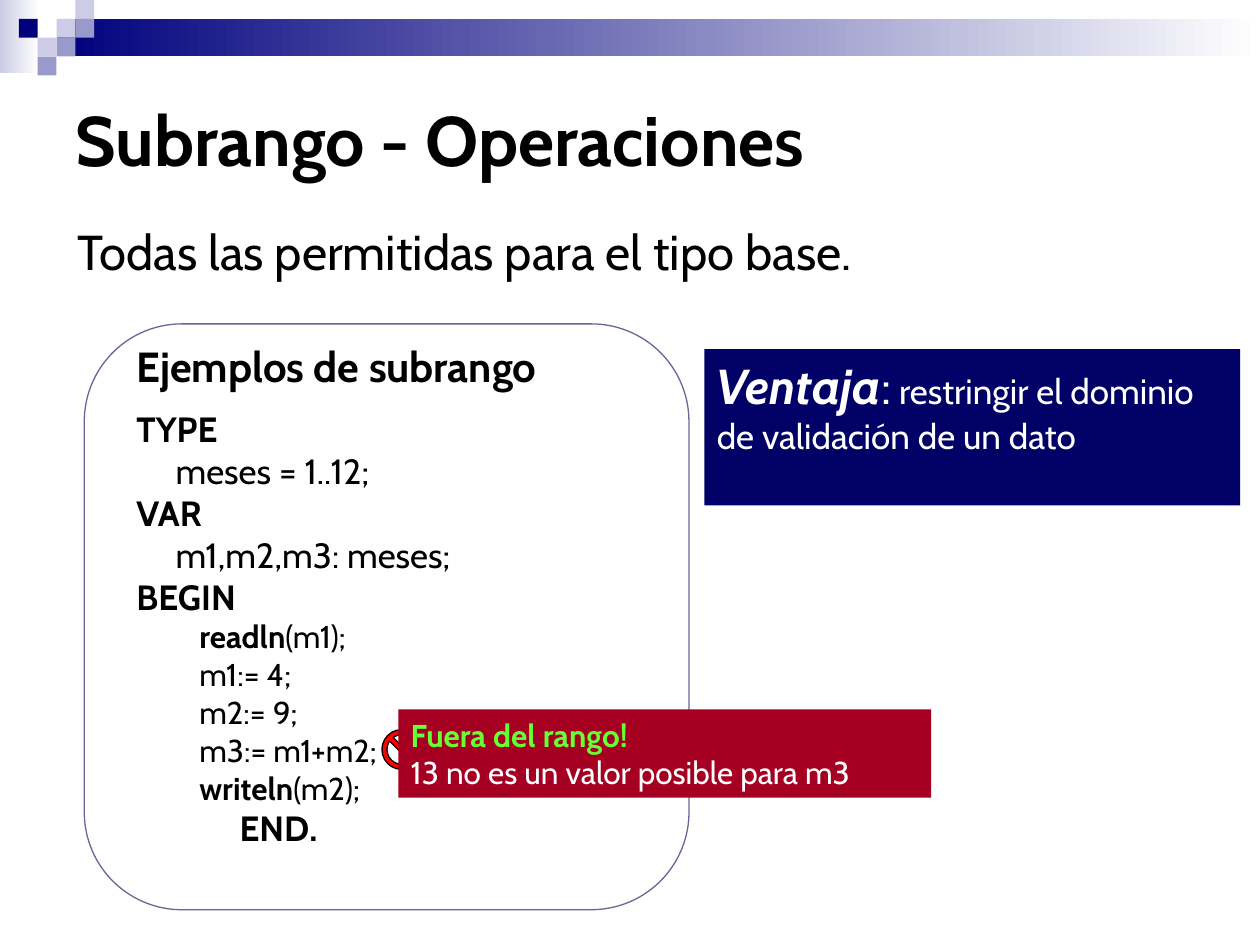
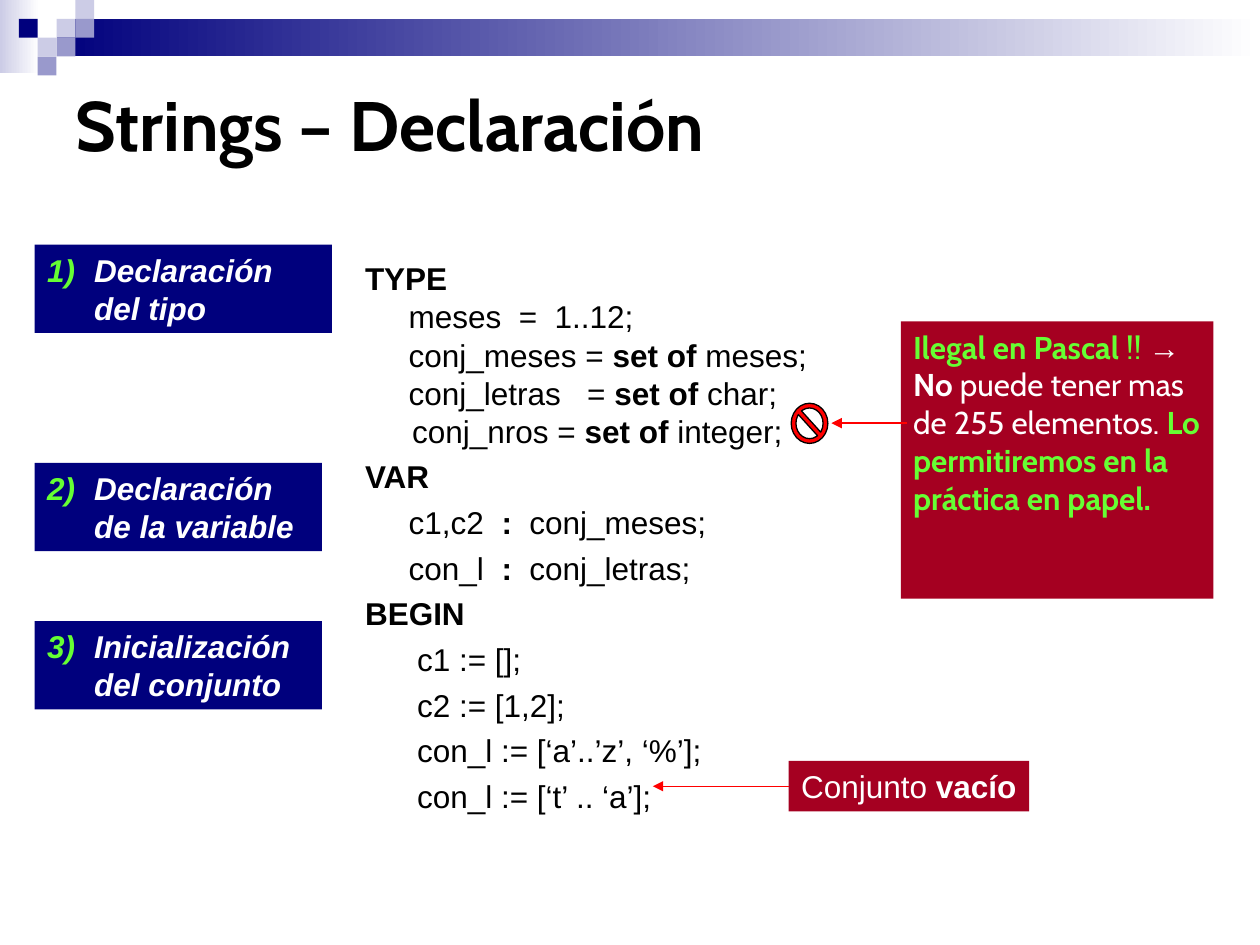
from dataclasses import dataclass

import pptx
import pptx.dml.color
import pptx.enum.dml
import pptx.enum.shapes
import pptx.enum.text
import pptx.oxml
import pptx.oxml.ns
import pptx.util

Cm = pptx.util.Cm
Pt = pptx.util.Pt
SHAPE = pptx.enum.shapes.MSO_SHAPE
TITLE_ONLY = 5


@dataclass(frozen=True)
class Theme:
    black: str = "000000"
    white: str = "FFFFFF"
    navy: str = "00007D"
    deep_navy: str = "000066"
    lavender: str = "9999CC"
    pale: str = "CCCCE6"
    outline: str = "666699"
    crimson: str = "A50021"
    lime: str = "66FF33"
    red: str = "FF0000"
    display_font: str = "Cabin"
    plain_font: str = "Arial"
    title_size: float = 40
    lead_size: float = 28
    heading_size: float = 24
    code_size: float = 20
    text_size: float = 18
    hairline: float = 0.75


THEME = Theme()


@dataclass(frozen=True)
class Area:
    """Left, top, width and height in centimetres."""
    left: float
    top: float
    width: float
    height: float

    def lengths(self) -> tuple:
        return tuple(Cm(v) for v in (self.left, self.top, self.width, self.height))


@dataclass(frozen=True)
class Span:
    text: str
    bold: bool = False
    italic: bool = False
    size: float = THEME.text_size
    color: str = THEME.black
    font: str = THEME.display_font


@dataclass(frozen=True)
class Line:
    """One paragraph; indents are in centimetres, space before in points."""
    spans: tuple
    indent: float = 0
    hanging: float = 0
    before: float = 0
    spacing: float = 1.0
    number: int = 0


@dataclass(frozen=True)
class Step:
    number: int
    text: str
    area: Area


def rgb(color: str):
    return pptx.dml.color.RGBColor.from_string(color)


def add_child(parent, tag: str, **attributes):
    child = pptx.oxml.parse_xml(f"<a:{tag} {pptx.oxml.ns.nsdecls('a')}/>")
    for name, value in attributes.items():
        child.set(name, str(value))
    parent.append(child)
    return child


def write(frame, lines, wrap: bool = True, anchor=pptx.enum.text.MSO_ANCHOR.TOP) -> None:
    frame.auto_size = pptx.enum.text.MSO_AUTO_SIZE.NONE
    frame.word_wrap = wrap
    frame.vertical_anchor = anchor
    for index, line in enumerate(lines):
        para = frame.add_paragraph() if index else frame.paragraphs[0]
        para.alignment = pptx.enum.text.PP_ALIGN.LEFT
        para.space_before = Pt(line.before)
        para.line_spacing = line.spacing
        properties = para._p.get_or_add_pPr()
        properties.set("marL", str(Cm(line.indent)))
        properties.set("indent", str(-Cm(line.hanging)))
        if line.number:
            add_child(add_child(properties, "buClr"), "srgbClr", val=THEME.lime)
            add_child(properties, "buAutoNum", type="arabicParenR", startAt=line.number)
        for span in line.spans:
            run = para.add_run()
            run.text = span.text
            run.font.name = span.font
            run.font.size = Pt(span.size)
            run.font.bold = span.bold
            run.font.italic = span.italic
            run.font.color.rgb = rgb(span.color)


def add_shape(page, kind, area: Area, fill: str = "", outline: str = "", fade: bool = False):
    shape = page.shapes.add_shape(kind, *area.lengths())
    shape.shadow.inherit = False
    if fade:
        shape.fill.gradient()
        shape.fill.gradient_angle = 0
        for stop, color in zip(shape.fill.gradient_stops, (fill, THEME.white)):
            stop.color.rgb = rgb(color)
    elif fill:
        shape.fill.solid()
        shape.fill.fore_color.rgb = rgb(fill)
    else:
        shape.fill.background()
    if outline:
        shape.line.color.rgb = rgb(outline)
        shape.line.width = Pt(THEME.hairline)
    else:
        shape.line.fill.background()
    return shape


def add_panel(page, area: Area, fill: str, lines, wrap: bool = True):
    panel = add_shape(page, SHAPE.RECTANGLE, area, fill)
    write(panel.text_frame, lines, wrap)
    return panel


def add_text(page, area: Area, lines) -> None:
    write(page.shapes.add_textbox(*area.lengths()).text_frame, lines)


def add_forbidden_sign(page, area: Area) -> None:
    sign = add_shape(page, SHAPE.NO_SYMBOL, area, THEME.red, THEME.black)
    sign.adjustments[0] = 0.13


def add_arrow(page, start: float, end: float, height: float, source=None) -> None:
    """Horizontal arrow, joined to the left side of source if there is one."""
    arrow = page.shapes.add_connector(
        pptx.enum.shapes.MSO_CONNECTOR.STRAIGHT, Cm(start), Cm(height), Cm(end), Cm(height))
    if source is not None:
        arrow.begin_connect(source, 1)
    arrow.line.color.rgb = rgb(THEME.red)
    arrow.line.width = Pt(THEME.hairline)
    properties = arrow.element.spPr
    add_child(properties.find(pptx.oxml.ns.qn("a:ln")), "tailEnd", type="triangle")
    add_child(properties, "effectLst")


def add_banner(page, layout) -> None:
    """Draw the top band and its mosaic, then hand them to the layout."""
    tile = 0.38
    mosaic = ((3, 1, THEME.pale), (4, 0, THEME.pale), (4, 1, THEME.lavender),
              (2, 2, THEME.pale), (1, 1, THEME.navy), (3, 2, THEME.lavender),
              (2, 3, THEME.lavender))
    parts = [add_shape(page, SHAPE.RECTANGLE, Area(0, 0, 0.79, 1.47), THEME.pale, fade=True),
             add_shape(page, SHAPE.RECTANGLE, Area(3 * tile, tile, 24.26, 2 * tile),
                       THEME.navy, fade=True)]
    for column, row, color in mosaic:
        area = Area(column * tile, row * tile, tile, tile)
        parts.append(add_shape(page, SHAPE.RECTANGLE, area, color))
    for part in parts:
        layout.shapes.element.append(part.element)


def add_page(deck, title: str, title_height: float):
    page = deck.slides.add_slide(deck.slide_layouts[TITLE_ONLY])
    box = page.shapes.title
    box.left, box.top, box.width, box.height = Area(1.27, 1.27, 22.86, title_height).lengths()
    write(box.text_frame, [Line((Span(title, bold=True, size=THEME.title_size),))],
          anchor=pptx.enum.text.MSO_ANCHOR.MIDDLE)
    return page


def subrange_code() -> list:
    def keyword(text: str, indent: float = 0, before: float = 0) -> Line:
        return Line((Span(text, True, size=THEME.code_size),), indent, before=before)

    def declaration(text: str) -> Line:
        return Line((Span(text, size=THEME.code_size),), 0.79)

    def statement(*spans: Span) -> Line:
        return Line(spans, 2.06, 0.79)

    return [
        Line((Span("Ejemplos de subrango", True, size=THEME.heading_size),)),
        keyword("TYPE", before=9.7),
        declaration("meses = 1..12;"),
        keyword("VAR"),
        declaration("m1,m2,m3: meses;"),
        keyword("BEGIN"),
        statement(Span("readln", True), Span("(m1);")),
        statement(Span("m1:= 4;")),
        statement(Span("m2:= 9;")),
        statement(Span("m3:= m1+m2;")),
        statement(Span("writeln", True), Span("(m2);")),
        keyword("END.", 2.08),
    ]


def set_code() -> list:
    def code(*texts: str, indent: float = 0, spacing: float = 1.0) -> Line:
        """Texts alternate between plain and bold."""
        spans = tuple(Span(text, index % 2 == 1, font=THEME.plain_font)
                      for index, text in enumerate(texts) if text)
        return Line(spans, indent, before=4.5, spacing=spacing)

    tight, step = 0.8, 0.88
    statements = ("c1 := [];", "c2 := [1,2];", "con_l := [‘a’..’z’, ‘%’];", "con_l := [‘t’ .. ‘a’];")
    return [
        code("", "TYPE", spacing=tight),
        code("meses  =  1..12;", indent=step, spacing=tight),
        code("conj_meses = ", "set of", " meses;", indent=step, spacing=tight),
        code("conj_letras   = ", "set of", " char;", indent=step, spacing=tight),
        code("conj_nros = ", "set of ", "integer;", indent=0.95, spacing=tight),
        code("", "VAR"),
        code("c1,c2  ", ":", "  conj_meses;", indent=step),
        code("con_l  ", ":", "  conj_letras;", indent=step),
        code("", "BEGIN"),
        *(code(text, indent=1.05) for text in statements),
    ]


def build_subrange_page(page) -> None:
    add_text(page, Area(2.5, 6.73, 11.99, 10.52), subrange_code())
    add_text(page, Area(1.31, 4.34, 22.86, 2.41),
             [Line((Span("Todas las permitidas para el tipo base.", size=THEME.lead_size),))])
    add_forbidden_sign(page, Area(7.7, 14.71, 0.79, 0.8))
    add_shape(page, SHAPE.ROUNDED_RECTANGLE, Area(1.7, 6.53, 12.19, 11.81), outline=THEME.outline)
    add_panel(page, Area(8.03, 14.3, 10.74, 1.78), THEME.crimson, [
        Line((Span("Fuera del rango!", True, color=THEME.lime),)),
        Line((Span("13 no es un valor posible para m3", color=THEME.white),)),
    ], wrap=False)
    add_panel(page, Area(14.2, 7.04, 10.8, 3.15), THEME.deep_navy, [Line((
        Span("Ventaja", True, True, THEME.lead_size, THEME.white),
        Span(":", size=THEME.lead_size, color=THEME.white),
        Span(" restringir el dominio de validación de un dato",
             size=THEME.code_size, color=THEME.white),
    ))])


def build_strings_page(page) -> None:
    add_text(page, Area(7.11, 5.25, 10.82, 12.4), set_code())
    steps = (Step(1, "Declaración del tipo", Area(0.7, 4.93, 5.99, 1.78)),
             Step(2, "Declaración de la variable", Area(0.7, 9.33, 5.79, 1.78)),
             Step(3, "Inicialización del conjunto", Area(0.7, 12.52, 5.79, 1.78)))
    for step in steps:
        span = Span(step.text, True, True, color=THEME.white, font=THEME.plain_font)
        add_panel(page, step.area, THEME.navy, [Line((span,), 0.95, 0.95, number=step.number)])
    add_forbidden_sign(page, Area(15.95, 8.13, 0.74, 0.81))
    add_panel(page, Area(18.16, 6.48, 6.3, 5.59), THEME.crimson, [Line((
        Span("Ilegal en Pascal", True, color=THEME.lime),
        Span(" !! ", color=THEME.lime),
        Span("→ ", color=THEME.white, font=THEME.plain_font),
        Span("No ", True, color=THEME.white),
        Span("puede tener mas de 255 elementos.", color=THEME.white),
        Span(" Lo permitiremos en la práctica en papel.", True, color=THEME.lime),
    ))])
    add_arrow(page, 18.29, 16.76, 8.53)
    empty_set = add_panel(page, Area(15.9, 15.34, 4.85, 1.02), THEME.crimson, [Line((
        Span("Conjunto ", color=THEME.white, font=THEME.plain_font),
        Span("vacío", True, color=THEME.white, font=THEME.plain_font),
    ))], wrap=False)
    add_arrow(page, 15.9, 13.16, 15.85, empty_set)


def main() -> None:
    deck = pptx.Presentation()
    deck.slide_width, deck.slide_height = Cm(25.4), Cm(19.05)
    subrange_page = add_page(deck, "Subrango - Operaciones", 3.05)
    add_banner(subrange_page, deck.slide_layouts[TITLE_ONLY])
    build_subrange_page(subrange_page)
    build_strings_page(add_page(deck, "Strings – Declaración", 2.46))
    deck.save("out.pptx")


if __name__ == "__main__":
    main()
